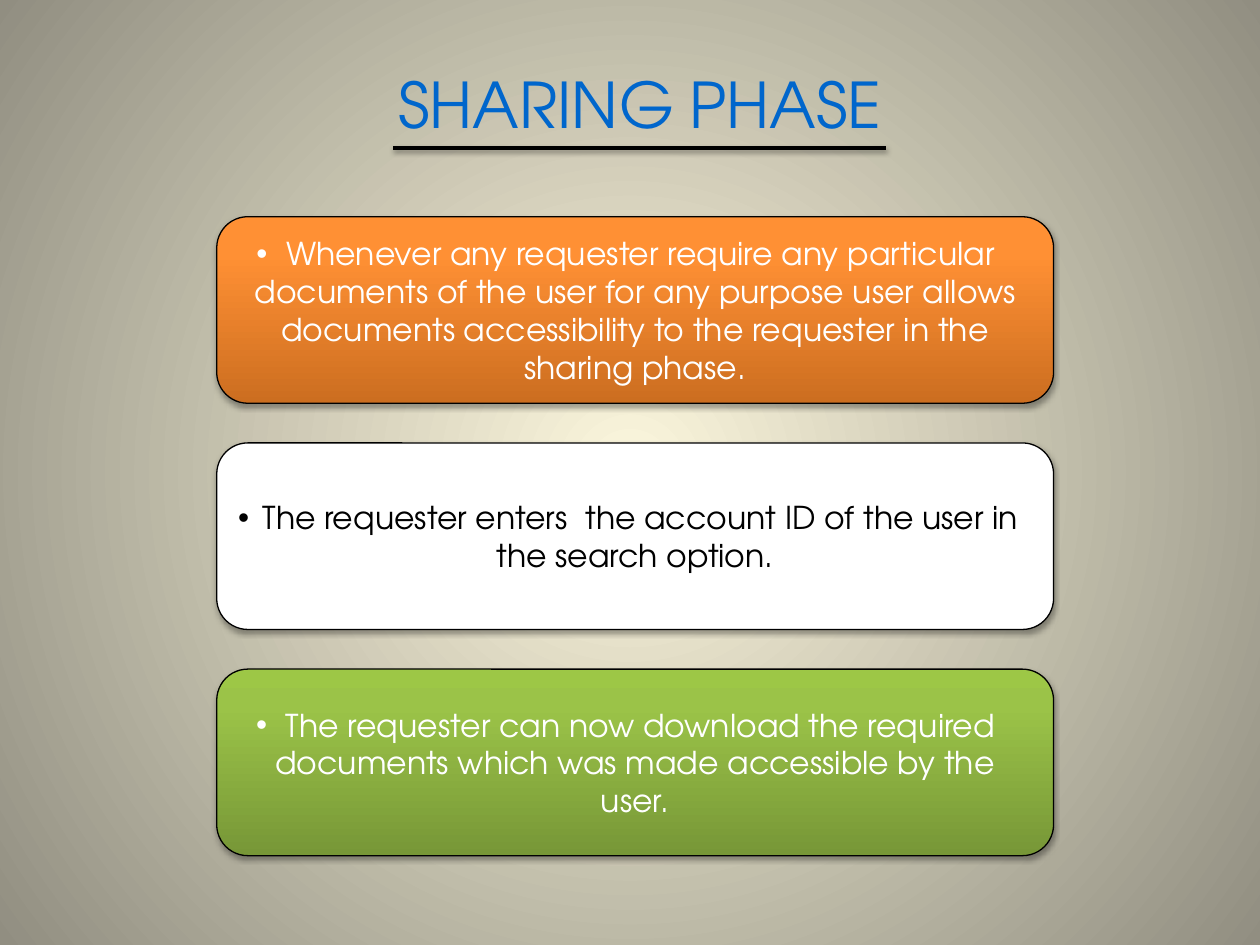
"""Build the Sharing Phase slide with three stacked step boxes."""
from dataclasses import dataclass

from lxml.etree import SubElement as Sub
from pptx import Presentation
from pptx.dml.color import RGBColor as Rgb
from pptx.enum.shapes import MSO_CONNECTOR as Link, MSO_SHAPE as Kind
from pptx.enum.text import MSO_ANCHOR as Anchor, PP_ALIGN as Align
from pptx.oxml import parse_xml
from pptx.oxml.ns import nsdecls, qn
from pptx.util import Cm, Pt


@dataclass
class Theme:
    font: str = "TeX Gyre Adventor"
    blue: str = "0066CC"
    black: str = "000000"
    white: str = "FFFFFF"
    back: tuple = ((0, "FCF7DD"), (100, "918E81"))
    orange: tuple = ((0, "CC6E20"), (80, "FF9034"), (100, "FF9136"))
    green: tuple = ((0, "779737"), (80, "9BC348"), (100, "9DC746"))
    head: int = 36
    gap: int = 32
    body: int = 18


def blend(root, stops, way):
    """Swap the first solid fill below root for a gradient."""
    marks = "".join(
        f'<a:gs pos="{pos * 1000}"><a:srgbClr val="{tone}"/></a:gs>'
        for pos, tone in stops
    )
    old = root.find(".//" + qn("a:solidFill"))
    new = parse_xml(
        f'<a:gradFill {nsdecls("a")} rotWithShape="1">'
        f"<a:gsLst>{marks}</a:gsLst>{way}</a:gradFill>"
    )
    old.getparent().replace(old, new)


def shade(shape, alpha, dist):
    """Give a shape a soft shadow straight below it."""
    shape._element.spPr.append(parse_xml(
        f'<a:effectLst {nsdecls("a")}><a:outerShdw blurRad="{Pt(3.1)}" '
        f'dist="{Pt(dist)}" dir="5400000" rotWithShape="0">'
        f'<a:srgbClr val="{theme.black}"><a:alpha val="{alpha * 1000}"/>'
        "</a:srgbClr></a:outerShdw></a:effectLst>"
    ))


theme = Theme()
deck = Presentation()
deck.slide_width, deck.slide_height = Cm(25.4), Cm(19.05)
slide = deck.slides.add_slide(deck.slide_layouts[5])

fill = slide.background.fill
fill.solid()
fill.fore_color.rgb = Rgb.from_string(theme.white)
blend(
    slide.element,
    theme.back,
    '<a:path path="circle"><a:fillToRect l="50000" t="50000" '
    'r="50000" b="50000"/></a:path>',
)

title = slide.shapes.title
title.left, title.top = Cm(6.35), Cm(1.19)
title.width, title.height = Cm(13.11), Cm(1.8)
title.text_frame.vertical_anchor = Anchor.MIDDLE
para = title.text_frame.paragraphs[0]
para.alignment = Align.CENTER
for text, size in (
    ("SHARING", theme.head), (" ", theme.gap), ("PHASE", theme.head)
):
    run = para.add_run()
    run.text = text
    run.font.name = theme.font
    run.font.size = Pt(size)
    run.font.color.rgb = Rgb.from_string(theme.blue)

steps = (
    ("Whenever any requester require any particular documents of the user "
     "for any purpose user allows documents accessibility to the requester "
     "in the sharing phase.", theme.orange, theme.white),
    ("The requester enters  the account ID of the user in the search option.",
     None, theme.black),
    ("The requester can now download the required documents which was made "
     "accessible by the user.", theme.green, theme.white),
)
for row, (text, stops, ink) in enumerate(steps):
    box = slide.shapes.add_shape(
        Kind.ROUNDED_RECTANGLE,
        Cm(4.37), Cm(4.37 + row * 4.56), Cm(16.87), Cm(3.76),
    )
    box.fill.solid()
    box.fill.fore_color.rgb = Rgb.from_string(theme.white)
    if stops:
        blend(box._element.spPr, stops, '<a:lin ang="16200000" scaled="0"/>')
    box.line.color.rgb = Rgb.from_string(theme.black)
    box.line.width = Pt(0.75)
    shade(box, 35, 1.8)
    frame = box.text_frame
    frame.word_wrap = True
    frame.vertical_anchor = Anchor.MIDDLE
    para = frame.paragraphs[0]
    para.alignment = Align.CENTER
    props = para._p.get_or_add_pPr()
    Sub(props, qn("a:buFont"), typeface="Arial")
    Sub(props, qn("a:buChar"), char="•")
    run = para.add_run()
    run.text = text
    run.font.name = theme.font
    run.font.size = Pt(theme.body)
    run.font.color.rgb = Rgb.from_string(ink)

rule = slide.shapes.add_connector(
    Link.STRAIGHT, Cm(7.93), Cm(2.98), Cm(17.86), Cm(2.98)
)
rule.line.color.rgb = Rgb.from_string(theme.black)
rule.line.width = Pt(2)
shade(rule, 38, 1.6)

deck.save("out.pptx")
